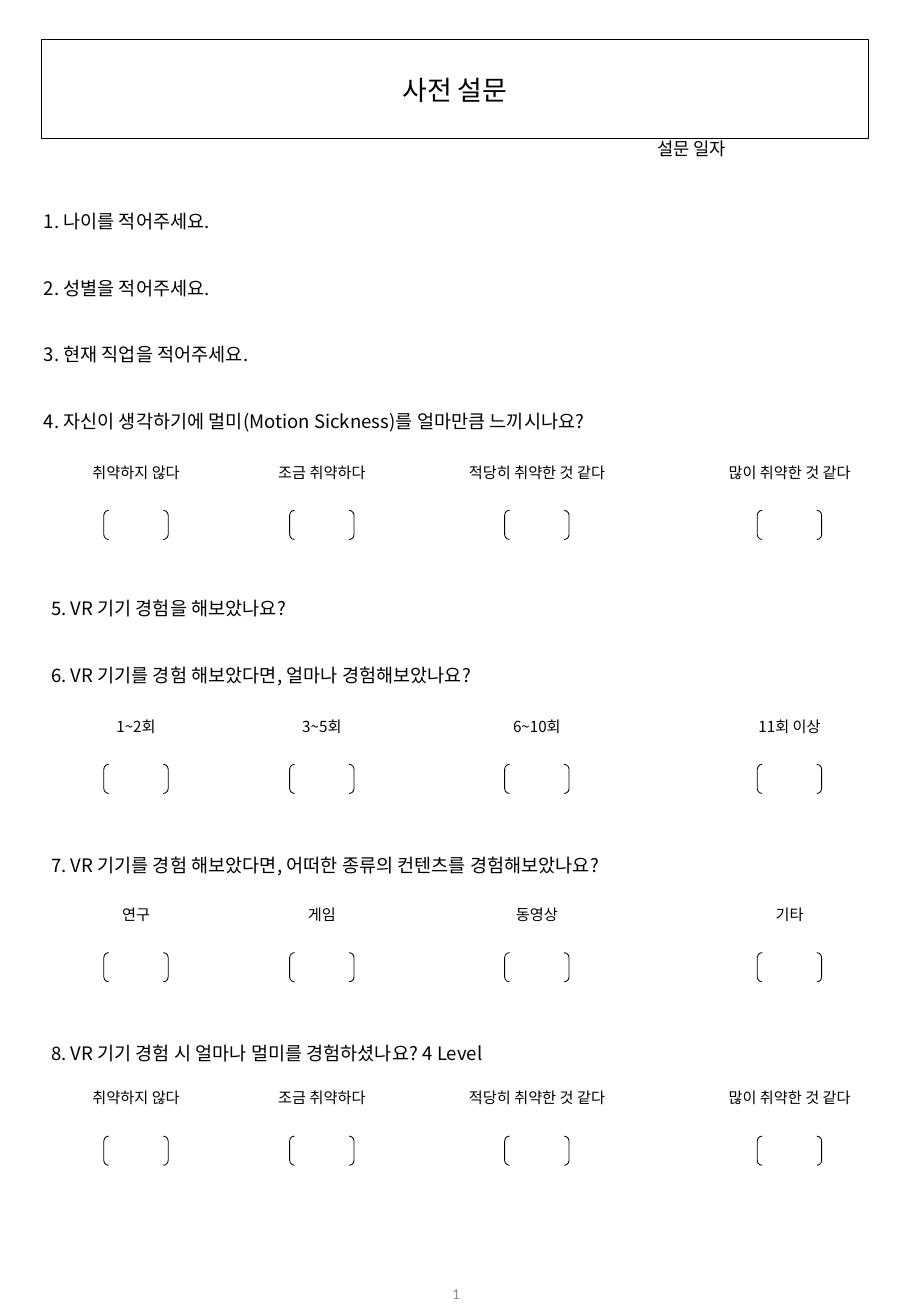
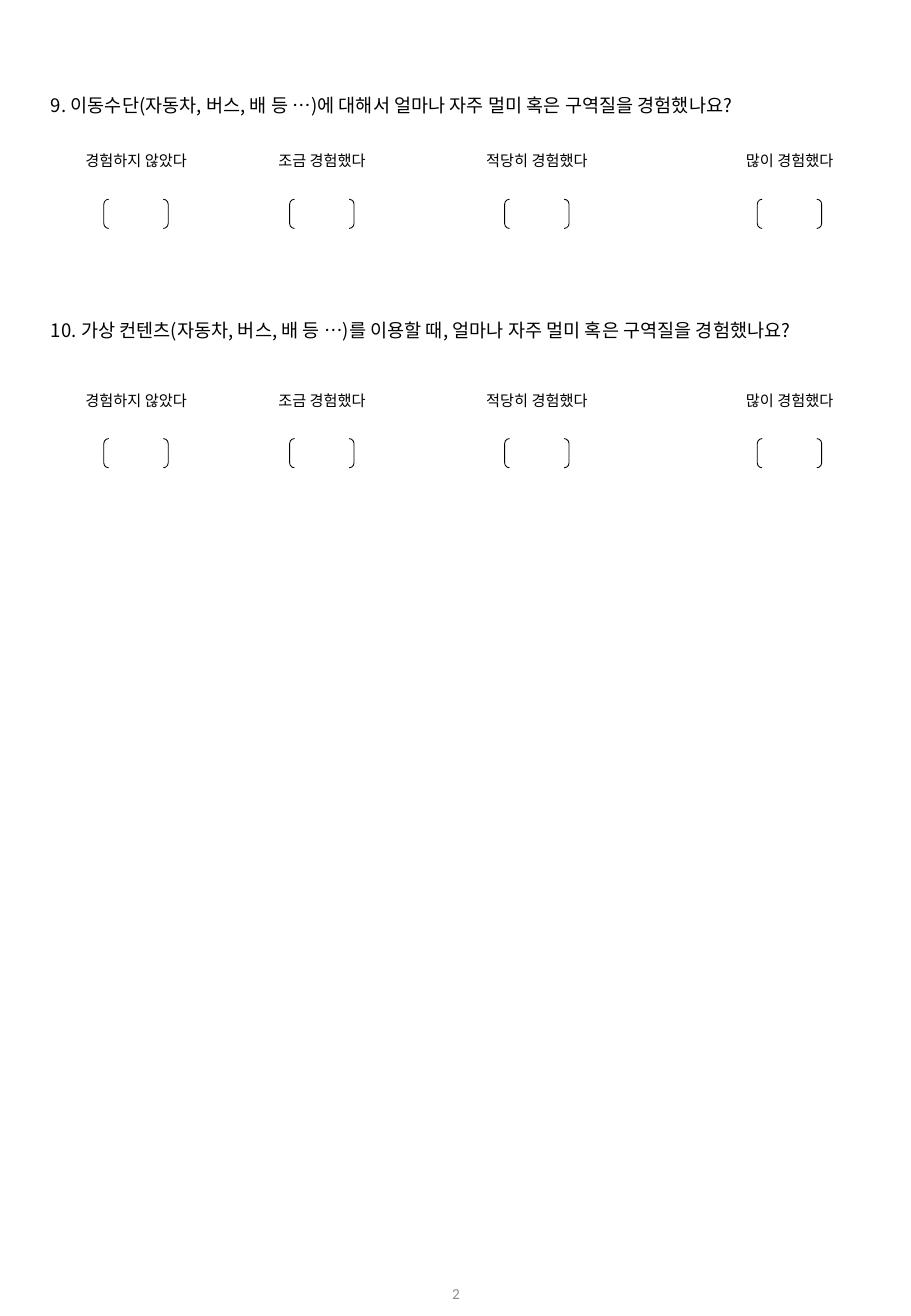
from lxml.etree import SubElement
from pptx import Presentation
from pptx.dml.color import RGBColor
from pptx.enum.shapes import MSO_SHAPE as Shape
from pptx.enum.text import MSO_ANCHOR as Anchor, MSO_AUTO_SIZE as AutoSize, PP_ALIGN as Align
from pptx.oxml.ns import qn
from pptx.util import Inches, Pt

BLACK = RGBColor(0x00, 0x00, 0x00)
GRAY = RGBColor(0x8C, 0x8C, 0x8C)
FONT = "Noto Sans CJK KR"
NUMBER_FONT = "Calibri"
LINE_HEIGHT = 1.2
TIGHT = (0.08, 0.04)
NORMAL = (0.1, 0.05)

TITLE_AND_BODY, BLANK = 1, 6
COLUMN_CENTERS = (1.12, 2.65, 4.42, 6.5)
LABEL_HEIGHT = 0.25
BRACKET_WIDTH, BRACKET_HEIGHT, BRACKET_DROP = 0.53, 0.24, 0.44

# Label and label width for each answer column
WEAKNESS = (("취약하지 않다", 0.94), ("조금 취약하다", 0.94),
            ("적당히 취약한 것 같다", 1.37), ("많이 취약한 것 같다", 1.26))
COUNTS = (("1~2회", 0.57), ("3~5회", 0.57), ("6~10회", 0.64), ("11회 이상", 0.73))
CONTENTS = (("연구", 0.44), ("게임", 0.43), ("동영상", 0.56), ("기타", 0.73))
EXPERIENCE = (("경험하지 않았다", 1.06), ("조금 경험했다", 0.95),
              ("적당히 경험했다", 1.06), ("많이 경험했다", 0.95))


def place(shape, left, top, width, height):
    shape.left, shape.top = Inches(left), Inches(top)
    shape.width, shape.height = Inches(width), Inches(height)


def write(box, *lines, size=11, font=FONT, color=BLACK, align=Align.LEFT,
          anchor=Anchor.TOP, insets=TIGHT, wrap=True, fit=True, gap=0):
    """Fill a box with one paragraph per line; gap is the space between them in lines."""
    frame = box.text_frame
    frame.word_wrap = wrap
    frame.auto_size = AutoSize.SHAPE_TO_FIT_TEXT if fit else AutoSize.NONE
    frame.vertical_anchor = anchor
    frame.margin_left = frame.margin_right = Inches(insets[0])
    frame.margin_top = frame.margin_bottom = Inches(insets[1])
    for index, line in enumerate(lines):
        para = frame.add_paragraph() if index else frame.paragraphs[0]
        para.alignment = align
        para.line_spacing = Pt(size * LINE_HEIGHT)
        para.space_before = Pt(size * LINE_HEIGHT * gap if index else 0)
        span = para.add_run()
        span.text = line
        span.font.size = Pt(size)
        span.font.name = font
        span.font.color.rgb = color
        SubElement(span.font._element, qn("a:ea"), typeface=font)


class Survey:
    def __init__(self):
        self.deck = Presentation()
        self.deck.slide_width, self.deck.slide_height = Inches(7.5), Inches(10.83)
        self.slide = None

    def page(self, layout):
        self.slide = self.deck.slides.add_slide(self.deck.slide_layouts[layout])
        self.page_number(len(self.deck.slides))

    def text(self, left, top, width, height, *lines, shapes=None, **style):
        box = (shapes or self.slide.shapes).add_textbox(
            Inches(left), Inches(top), Inches(width), Inches(height))
        write(box, *lines, **style)
        return box

    def page_number(self, number):
        box = self.text(2.91, 10.45, 1.69, 0.39, str(number), size=9, font=NUMBER_FONT,
                        color=GRAY, align=Align.CENTER, anchor=Anchor.MIDDLE,
                        insets=NORMAL, fit=False)
        para = box.text_frame.paragraphs[0]._p
        run = para.find(qn("a:r"))
        field = SubElement(para, qn("a:fld"), type="slidenum",
                           id="{B6F15528-21DE-4FAA-801E-634DDDAF4B2B}")
        field.extend(list(run))
        para.remove(run)

    def title(self, text):
        box = self.slide.shapes.title
        place(box, 0.34, 0.56, 6.81, 0.35)
        box.line.color.rgb = BLACK
        box.line.width = Pt(0.75)
        write(box, text, size=16, align=Align.CENTER, anchor=Anchor.MIDDLE)

    def question_list(self, *questions):
        """Put questions in the body placeholder, without its bullets."""
        body = self.slide.placeholders[1]
        place(body, 0.28, 1.67, 6.59, 1.93)
        write(body, *questions, anchor=Anchor.BOTTOM, gap=2)
        for para in body.text_frame.paragraphs:
            properties = para._p.get_or_add_pPr()
            properties.set("marL", "0")
            properties.set("indent", "0")
            SubElement(properties, qn("a:buNone"))

    def questions(self, top, *lines, width=5.42, height=0.27):
        self.text(0.34, top, width, height, *lines, anchor=Anchor.BOTTOM, gap=2)

    def answers(self, top, options, wrap_last=False):
        """Draw a row of labels with a bracket pair to tick under each."""
        shapes = self.slide.shapes.add_group_shape().shapes
        for center, (label, width) in zip(COLUMN_CENTERS, options):
            is_last = center == COLUMN_CENTERS[-1]
            self.text(center - width / 2, top, width, LABEL_HEIGHT, label, shapes=shapes,
                      size=9, align=Align.CENTER, insets=NORMAL,
                      wrap=wrap_last and is_last)
            bracket = shapes.add_shape(
                Shape.DOUBLE_BRACKET, Inches(center - BRACKET_WIDTH / 2),
                Inches(top + BRACKET_DROP), Inches(BRACKET_WIDTH), Inches(BRACKET_HEIGHT))
            bracket.shadow.inherit = False
            bracket.fill.background()
            bracket.line.color.rgb = BLACK
            bracket.line.width = Pt(0.5)


def main():
    survey = Survey()

    survey.page(TITLE_AND_BODY)
    survey.title("사전 설문")
    survey.text(5.33, 1.09, 0.75, 0.26, "설문 일자", size=10.5,
                anchor=Anchor.MIDDLE, wrap=False)
    survey.question_list(
        "1. 나이를 적어주세요.",
        "2. 성별을 적어주세요.",
        "3. 현재 직업을 적어주세요.",
        "4. 자신이 생각하기에 멀미(Motion Sickness)를 얼마만큼 느끼시나요?")
    survey.answers(3.76, WEAKNESS)
    survey.questions(
        4.87,
        "5. VR 기기 경험을 해보았나요?",
        "6. VR 기기를 경험 해보았다면, 얼마나 경험해보았나요?",
        height=0.82)
    survey.answers(5.85, COUNTS, wrap_last=True)
    survey.questions(6.98, "7. VR 기기를 경험 해보았다면, 어떠한 종류의 컨텐츠를 경험해보았나요?")
    survey.answers(7.4, CONTENTS, wrap_last=True)
    survey.questions(8.53, "8. VR 기기 경험 시 얼마나 멀미를 경험하셨나요? 4 Level")
    survey.answers(8.91, WEAKNESS)

    survey.page(BLANK)
    survey.questions(
        0.73, "9. 이동수단(자동차, 버스, 배 등 …)에 대해서 얼마나 자주 멀미 혹은 구역질을 경험했나요?",
        width=6.66)
    survey.answers(1.2, EXPERIENCE)
    survey.questions(
        2.58, "10. 가상 컨텐츠(자동차, 버스, 배 등 …)를 이용할 때, 얼마나 자주 멀미 혹은 구역질을 경험했나요?",
        width=6.66)
    survey.answers(3.17, EXPERIENCE)

    survey.deck.save("out.pptx")


if __name__ == "__main__":
    main()
